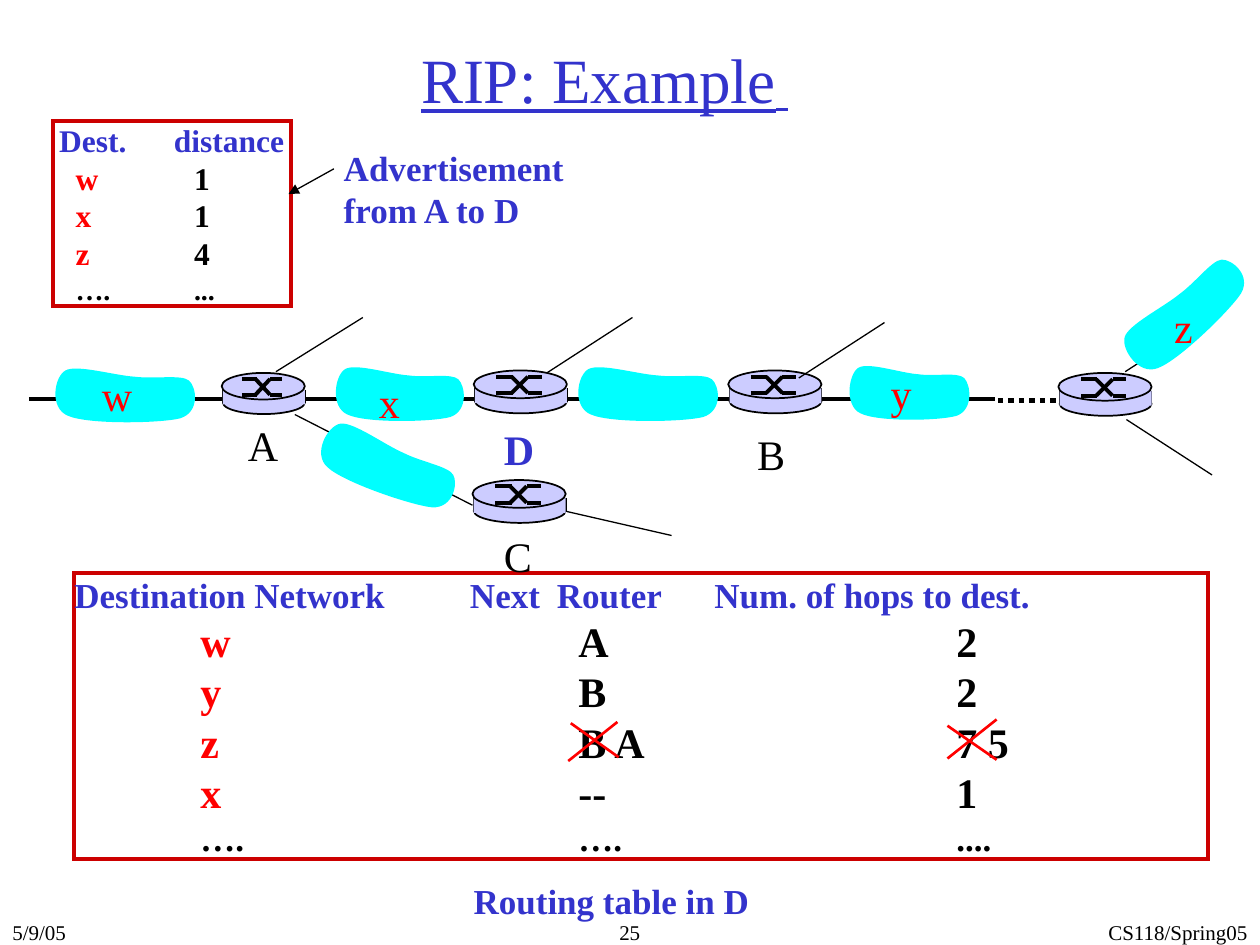
from lxml.etree import SubElement
from pptx import Presentation
from pptx.dml.color import RGBColor
from pptx.enum.dml import MSO_LINE
from pptx.enum.shapes import MSO_CONNECTOR, MSO_SHAPE
from pptx.enum.text import MSO_ANCHOR, PP_ALIGN
from pptx.oxml.ns import qn
from pptx.util import Pt

PX = 9144
FONT = "Times New Roman"
COLORS = {"blue": "3333CC", "red": "FF0000", "frame": "CC0000", "black": "000000",
          "cloud": "00FFFF", "router": "CCCCFF"}

ROUTING = {
    "box": (59, 455, 900, 227),
    "header": (["Destination Network", "Next", "Router", "Num. of hops to dest."], 20,
               [314, 383, 508]),
    "rows": [("w", "A", "2"), ("y", "B", "2"), ("z", "B A", "7 5"), ("x", "--", "1")],
    "last": ("….", "….", "...."),
    "sizes": (24, 20),
    "stops": [100, 400, 700],
}
ADVERTISED = {
    "box": (42, 96, 189, 147),
    "header": (["", "Dest.", "distance"], 18, [5, 96]),
    "rows": [("w", "1"), ("x", "1"), ("z", "4")],
    "last": ("….", "..."),
    "sizes": (18, 16),
    "stops": [18, 112],
}

BACKBONE = (23, 317, 790, 317)
DOTTED = (792, 318, 854, 318)
ROUTERS = [(376, 294, 74, 25), (176, 296, 66, 24), (375, 381, 74, 25),
           (578, 294, 74, 25), (840, 296, 74, 25)]
ROUTER_SIDES = [(1, 14, 1, 25), (74, 14, 74, 25)]
ROUTER_CROSS = [(18, 5, 31, 5), (43, 18, 54, 18), (30, 5, 43, 18),
                (18, 18, 31, 18), (43, 5, 54, 5), (30, 18, 43, 5)]
LINKS = [(219, 295, 288, 252), (434, 296, 502, 252), (634, 300, 702, 256),
         (893, 295, 961, 251), (894, 333, 962, 377), (234, 329, 375, 401),
         (450, 406, 533, 425)]
CLOUDS = [(262, 288, 110, 0), (248, 346, 120, 19.7), (39, 289, 120, 0),
          (454, 288, 120, 0), (670, 287, 103, 0), (880, 225, 120, 316.8)]
CLOUD_OUTLINE = [(68, 10),
                 (52, 9), (22, 0), (13, 5), (4, 10), (0, 35), (15, 41),
                 (31, 48), (88, 47), (104, 43), (120, 38), (117, 18), (111, 13),
                 (105, 8), (84, 12), (68, 10)]
LABELS = [
    (["w"], (71, 288, 44, 50), 24, "red", False),
    (["x"], (291, 294, 36, 50), 24, "red", False),
    (["y"], (697, 287, 36, 50), 24, "red", False),
    (["z"], (922, 234, 35, 50), 24, "red", False),
    (["A"], (187, 328, 44, 50), 24, "black", False),
    (["C"], (390, 416, 42, 50), 24, "black", False),
    (["D"], (390, 331, 44, 50), 24, "blue", True),
    (["B"], (591, 335, 42, 50), 24, "black", False),
    (["Advertisement", "from A to D"], (263, 111, 200, 77), 20, "blue", True),
    (["Routing table in D"], (366, 693, 239, 44), 20, "blue", True),
]
FOOTERS = [("5/9/05", (0, 725, 208, 25), PP_ALIGN.LEFT),
           ("25", (468, 725, 50, 25), PP_ALIGN.RIGHT),
           ("CS118/Spring05", (683, 725, 317, 25), PP_ALIGN.RIGHT)]
ADVERT_ARROW = (265, 134, 229, 154)
STRIKES = [(453, 574, 491, 601), (451, 604, 490, 573),
           (752, 576, 791, 603), (752, 602, 791, 571)]


def emu(lengths):
    return [round(length * PX) for length in lengths]


def color(name):
    return RGBColor.from_string(COLORS[name])


def add_line(shapes, ends, width, name="black"):
    line = shapes.add_connector(MSO_CONNECTOR.STRAIGHT, *emu(ends))
    line.line.color.rgb = color(name)
    line.line.width = Pt(width)
    SubElement(line._element.spPr, qn("a:effectLst"))
    return line


def paint(shape, fill, outline=None, width=1):
    shape.shadow.inherit = False
    if fill:
        shape.fill.solid()
        shape.fill.fore_color.rgb = color(fill)
    else:
        shape.fill.background()
    if outline:
        shape.line.color.rgb = color(outline)
        shape.line.width = Pt(width)
    else:
        shape.line.fill.background()


def add_filled(shapes, kind, box, fill, outline=None):
    paint(shapes.add_shape(kind, *emu(box)), fill, outline)


def set_font(font, size, name, bold=False):
    font.name = FONT
    font.size = Pt(size)
    font.bold = bold
    font.color.rgb = color(name)


def set_tabs(paragraph, stops):
    tabs = SubElement(paragraph._p.get_or_add_pPr(), qn("a:tabLst"))
    for stop in stops:
        SubElement(tabs, qn("a:tab"), pos=str(stop * PX), algn="l")


def add_text(slide, lines, box, size, name, bold=False, align=PP_ALIGN.LEFT, wrap=False):
    frame = slide.shapes.add_textbox(*emu(box)).text_frame
    frame.word_wrap = wrap
    frame.text = "\n".join(lines)
    for paragraph in frame.paragraphs:
        paragraph.alignment = align
        set_font(paragraph.font, size, name, bold)
    return frame


def add_listing(slide, listing):
    panel = slide.shapes.add_shape(MSO_SHAPE.RECTANGLE, *emu(listing["box"]))
    paint(panel, None, "frame", 2.25)
    SubElement(panel.line._get_or_add_ln(), qn("a:miter"), lim="800000")
    frame = panel.text_frame
    frame.margin_left = frame.margin_top = frame.margin_right = frame.margin_bottom = 0
    frame.vertical_anchor = MSO_ANCHOR.TOP
    frame.word_wrap = True
    titles, header_size, header_stops = listing["header"]
    header = frame.paragraphs[0]
    header.alignment = PP_ALIGN.LEFT
    set_tabs(header, header_stops)
    header.text = "\t".join(titles)
    set_font(header.font, header_size, "blue", True)
    row_size, last_size = listing["sizes"]
    for cells in listing["rows"] + [listing["last"]]:
        is_last = cells is listing["last"]
        row = frame.add_paragraph()
        row.alignment = PP_ALIGN.LEFT
        set_tabs(row, listing["stops"])
        set_font(row.font, last_size if is_last else row_size, "black", True)
        destination = row.add_run()
        destination.text = "\t" + cells[0]
        if not is_last:
            destination.font.color.rgb = color("red")
        row.add_run().text = "\t" + "\t".join(cells[1:])


def add_router(slide, left, top, width, height):
    shapes = slide.shapes.add_group_shape().shapes
    across, down = width / 74, height / 25

    def place(x, y, x2, y2):
        return left + x * across, top + y * down, left + x2 * across, top + y2 * down

    def box(x, y, w, h):
        return left + x * across, top + y * down, w * across, h * down

    add_filled(shapes, MSO_SHAPE.OVAL, box(1, 15, 73, 19), "router", "black")
    for side in ROUTER_SIDES:
        add_line(shapes, place(*side), 1)
    add_filled(shapes, MSO_SHAPE.RECTANGLE, box(1, 14, 73, 12), "router")
    add_filled(shapes, MSO_SHAPE.OVAL, box(0, 0, 74, 22), "router", "black")
    for stroke in ROUTER_CROSS:
        add_line(shapes, place(*stroke), 2.25)


def add_cloud(slide, left, top, width, angle):
    start, *rest = [emu((left + x * width / 120, top + y)) for x, y in CLOUD_OUTLINE]
    builder = slide.shapes.build_freeform(*start)
    builder.add_line_segments(rest, close=True)
    cloud = builder.convert_to_shape()
    segments = list(cloud._element.iter(qn("a:lnTo")))
    for curve, *others in zip(segments[::3], segments[1::3], segments[2::3]):
        curve.tag = qn("a:cubicBezTo")
        for other in others:
            curve.append(other[0])
            other.getparent().remove(other)
    paint(cloud, "cloud")
    cloud.rotation = angle


def main():
    deck = Presentation()
    deck.slide_width, deck.slide_height = emu((1000, 750))
    slide = deck.slides.add_slide(deck.slide_layouts[6])
    shapes = slide.shapes

    add_line(shapes, DOTTED, 3).line.dash_style = MSO_LINE.ROUND_DOT
    add_line(shapes, BACKBONE, 2.25)
    title = add_text(slide, ["RIP: Example"], (55, 0, 850, 125), 36, "blue",
                     align=PP_ALIGN.CENTER, wrap=True)
    title.vertical_anchor = MSO_ANCHOR.MIDDLE
    heading = title.paragraphs[0]
    heading.font.underline = True
    gap = heading.add_run()
    gap.text = " "
    gap.font.size = Pt(28)

    for listing in (ROUTING, ADVERTISED):
        add_listing(slide, listing)
    for router in ROUTERS:
        add_router(slide, *router)
    for link in LINKS:
        add_line(shapes, link, 0.75)
    for cloud in CLOUDS:
        add_cloud(slide, *cloud)
    for label in LABELS:
        add_text(slide, *label)
    arrow = add_line(shapes, ADVERT_ARROW, 0.75)
    SubElement(arrow.line._get_or_add_ln(), qn("a:tailEnd"), type="triangle")
    for strike in STRIKES:
        add_line(shapes, strike, 1.5, "red")
    for text, box, align in FOOTERS:
        add_text(slide, [text], box, 12, "black", align=align, wrap=True)
    deck.save("out.pptx")


if __name__ == "__main__":
    main()
